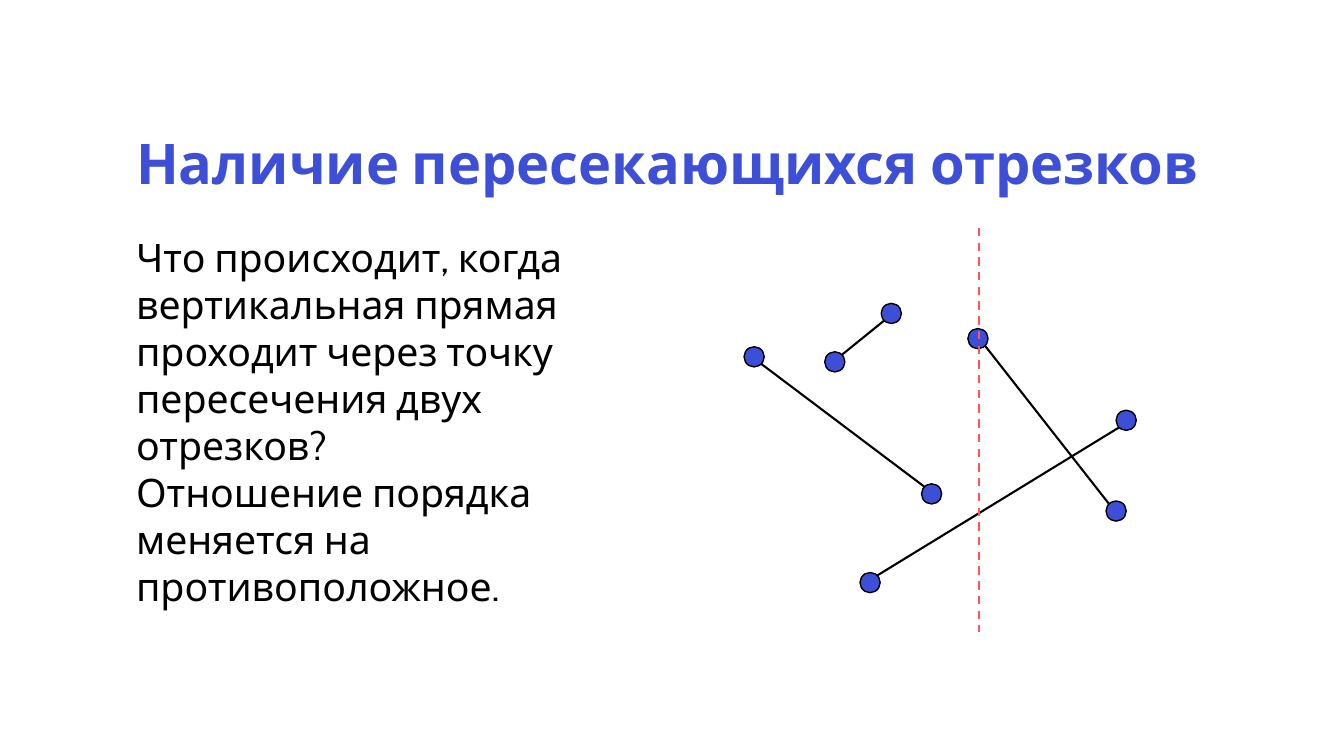
from math import copysign
from pptx import Presentation
from pptx.dml.color import RGBColor
from pptx.enum.dml import MSO_LINE
from pptx.enum.shapes import MSO_CONNECTOR, MSO_SHAPE
from pptx.enum.text import MSO_ANCHOR, MSO_AUTO_SIZE, PP_ALIGN
from pptx.oxml.ns import qn
from pptx.util import Inches, Pt
from lxml.etree import SubElement

BLUE, BLACK, RED = "3D4ED7", "000000", "FF5555"
DOT = 0.2    # dot diameter
TRIM = 0.07  # segment ends stop on the dot's diagonal

TITLE = "Наличие пересекающихся отрезков"
BODY = [
    "Что происходит, когда вертикальная прямая проходит через точку "
    "пересечения двух отрезков?",
    "Отношение порядка меняется на противоположное.",
]
# Dot centres of each segment, relative to the diagram box
PAIRS = [
    ((0.1, 1.28), (1.86, 2.64)),
    ((1.25, 3.52), (3.79, 1.91)),
    ((2.32, 1.1), (3.69, 2.81)),
    ((1.46, 0.85), (0.9, 1.33)),
]


def color(code):
    return RGBColor.from_string(code)


def place(shape, box):
    for name, value in zip(("left", "top", "width", "height"), box):
        setattr(shape, name, Inches(value))


def write(holder, box, lines, anchor, fit, space, font):
    """Fill a placeholder with plain left-aligned paragraphs."""
    place(holder, box)
    frame = holder.text_frame
    frame.text = "\n".join(lines)
    for name, value in {"word_wrap": True, "auto_size": fit,
                        "vertical_anchor": anchor}.items():
        setattr(frame, name, value)
    for para in frame.paragraphs:
        props = para._p.get_or_add_pPr()
        props.set("marL", "0")
        props.set("indent", "0")
        SubElement(props, qn("a:buNone"))
        for name, value in {"alignment": PP_ALIGN.LEFT, "space_before": Pt(0),
                            "line_spacing": space}.items():
            setattr(para, name, value)
        para.font.color.rgb = color(font["color"])
        for name in ("name", "size", "bold"):
            setattr(para.font, name, font[name])


def line(slide, start, end, code, dash=None):
    link = slide.shapes.add_connector(
        MSO_CONNECTOR.STRAIGHT, *map(Inches, (*start, *end)))
    link.line.color.rgb = color(code)
    link.line.width = Pt(1.5)
    if dash:
        link.line.dash_style = dash
    SubElement(link._element.spPr, qn("a:effectLst"))


def dot(slide, x, y):
    mark = slide.shapes.add_shape(
        MSO_SHAPE.OVAL, *map(Inches, (x - DOT / 2, y - DOT / 2, DOT, DOT)))
    mark.shadow.inherit = False
    mark.fill.solid()
    mark.fill.fore_color.rgb = color(BLUE)
    mark.line.color.rgb = color(BLACK)
    mark.line.width = Pt(1)


def graph(slide, box):
    """Segments with end dots, and the sweep line over them."""
    left, top, width, height = box
    for pair in PAIRS:
        (ax, ay), (bx, by) = [(left + x, top + y) for x, y in pair]
        dot(slide, ax, ay)
        dot(slide, bx, by)
        dx, dy = copysign(TRIM, bx - ax), copysign(TRIM, by - ay)
        line(slide, (ax + dx, ay + dy), (bx - dx, by - dy), BLACK)
    # Sweep line
    x = left + 2.33
    line(slide, (x, top), (x, top + height), RED, MSO_LINE.DASH)


def build():
    deck = Presentation()
    deck.slide_width, deck.slide_height = Inches(13.33), Inches(7.5)
    slide = deck.slides.add_slide(deck.slide_layouts[1])
    # Title and body text
    write(slide.shapes.title, (1.25, 1.25, 10.85, 0.8), [TITLE],
          MSO_ANCHOR.MIDDLE, MSO_AUTO_SIZE.NONE, 0.9,
          {"name": "Cabin", "size": Pt(40), "bold": True, "color": BLUE})
    write(slide.placeholders[1], (1.25, 2.26, 5.42, 3.4), BODY,
          MSO_ANCHOR.TOP, MSO_AUTO_SIZE.SHAPE_TO_FIT_TEXT, 1.0,
          {"name": "Cabin", "size": Pt(28), "bold": False, "color": BLACK})
    # Diagram
    graph(slide, (7.38, 2.26, 3.89, 4.01))
    deck.save("out.pptx")


if __name__ == "__main__":
    build()
